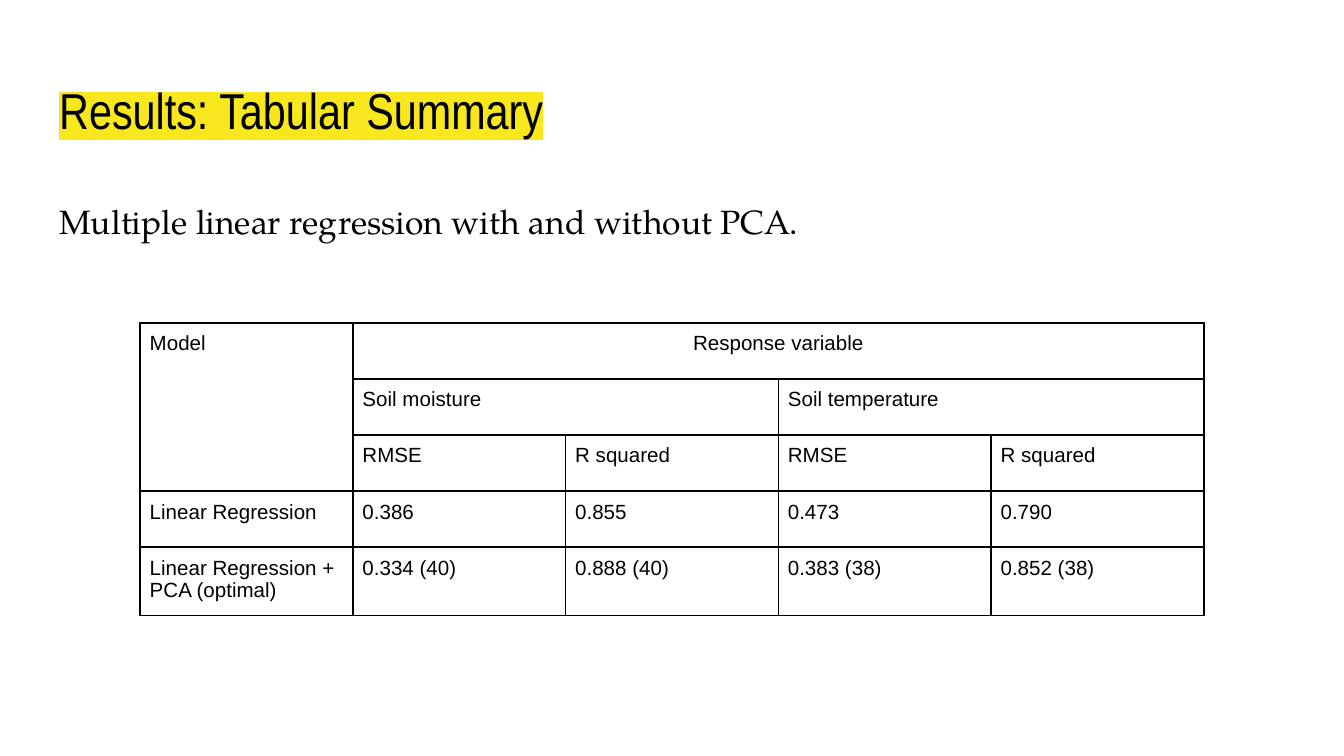
from lxml import etree
from pptx import Presentation
from pptx.dml.color import RGBColor
from pptx.enum.text import MSO_ANCHOR, PP_ALIGN
from pptx.oxml.ns import qn
from pptx.util import Cm, Pt

TOP = MSO_ANCHOR.TOP
CENTER = PP_ALIGN.CENTER
BLACK, WHITE, YELLOW = "000000", "FFFFFF", "F8E71C"

ROWS = [
    ["Model", "Response variable", "", "", ""],
    ["", "Soil moisture", "", "Soil temperature", ""],
    ["", "RMSE", "R squared", "RMSE", "R squared"],
    ["Linear Regression", "0.386", "0.855", "0.473", "0.790"],
    ["Linear Regression + PCA (optimal)", "0.334 (40)", "0.888 (40)",
     "0.383 (38)", "0.852 (38)"],
]
# First and last cell (row, column) of each merged heading
SPANS = [((0, 0), (2, 0)), ((0, 1), (0, 4)), ((1, 1), (1, 2)), ((1, 3), (1, 4))]


def color(code):
    return RGBColor.from_string(code)


def style(para, size, face):
    for run in para.runs:
        run.font.size = Pt(size)
        run.font.name = face
        run.font.color.rgb = color(BLACK)


def pad(item, gap):
    item.margin_left = item.margin_right = Cm(gap)
    item.margin_top = item.margin_bottom = Cm(gap)


def add_text(slide, box, text, size, face):
    frame = slide.shapes.add_textbox(*map(Cm, box)).text_frame
    frame.word_wrap = True
    frame.vertical_anchor = TOP
    pad(frame, 0.25)
    frame.text = text
    para = frame.paragraphs[0]
    style(para, size, face)
    return para


def add_title(slide, box):
    para = add_text(slide, box, "Results: Tabular Summary", 27, "Arial Narrow")
    # Highlight follows the fill and precedes the typeface
    mark = etree.Element(qn("a:highlight"))
    etree.SubElement(mark, qn("a:srgbClr"), val=YELLOW)
    props = para.runs[0].font._element
    props.find(qn("a:solidFill")).addnext(mark)


def add_body(slide, box):
    para = add_text(slide, box, "Multiple linear regression with and without PCA.",
                    18, "TeX Gyre Pagella")
    para.line_spacing = 1.15
    para.space_after = Pt(12)


def add_edges(cell):
    props = cell._tc.get_or_add_tcPr()
    for spot, side in enumerate(("lnL", "lnR", "lnT", "lnB")):
        line = etree.Element(qn(f"a:{side}"), w=str(Pt(1)))
        fill = etree.SubElement(line, qn("a:solidFill"))
        etree.SubElement(fill, qn("a:srgbClr"), val=BLACK)
        props.insert(spot, line)


def add_scores(slide, box):
    left, top, width, height = map(Cm, box)
    table = slide.shapes.add_table(len(ROWS), len(ROWS[0]),
                                   left, top, width, height).table
    table.first_row = table.horz_banding = False
    for r, row in enumerate(ROWS):
        for c, text in enumerate(row):
            cell = table.cell(r, c)
            pad(cell, 0.18)
            cell.vertical_anchor = TOP
            cell.fill.solid()
            cell.fill.fore_color.rgb = color(WHITE)
            add_edges(cell)
            cell.text = text
            style(cell.text_frame.paragraphs[0], 11, "Arial")
    for first, last in SPANS:
        table.cell(*first).merge(table.cell(*last))
    table.cell(0, 1).text_frame.paragraphs[0].alignment = CENTER


def main():
    deck = Presentation()
    deck.slide_width, deck.slide_height = Cm(25.4), Cm(14.29)
    slide = deck.slides.add_slide(deck.slide_layouts[6])
    add_title(slide, (0.87, 1.24, 23.67, 1.6))
    add_body(slide, (0.87, 3.43, 23.67, 9.27))
    add_scores(slide, (2.65, 6.1, 20.1, 5.3))
    deck.save("out.pptx")


if __name__ == "__main__":
    main()
